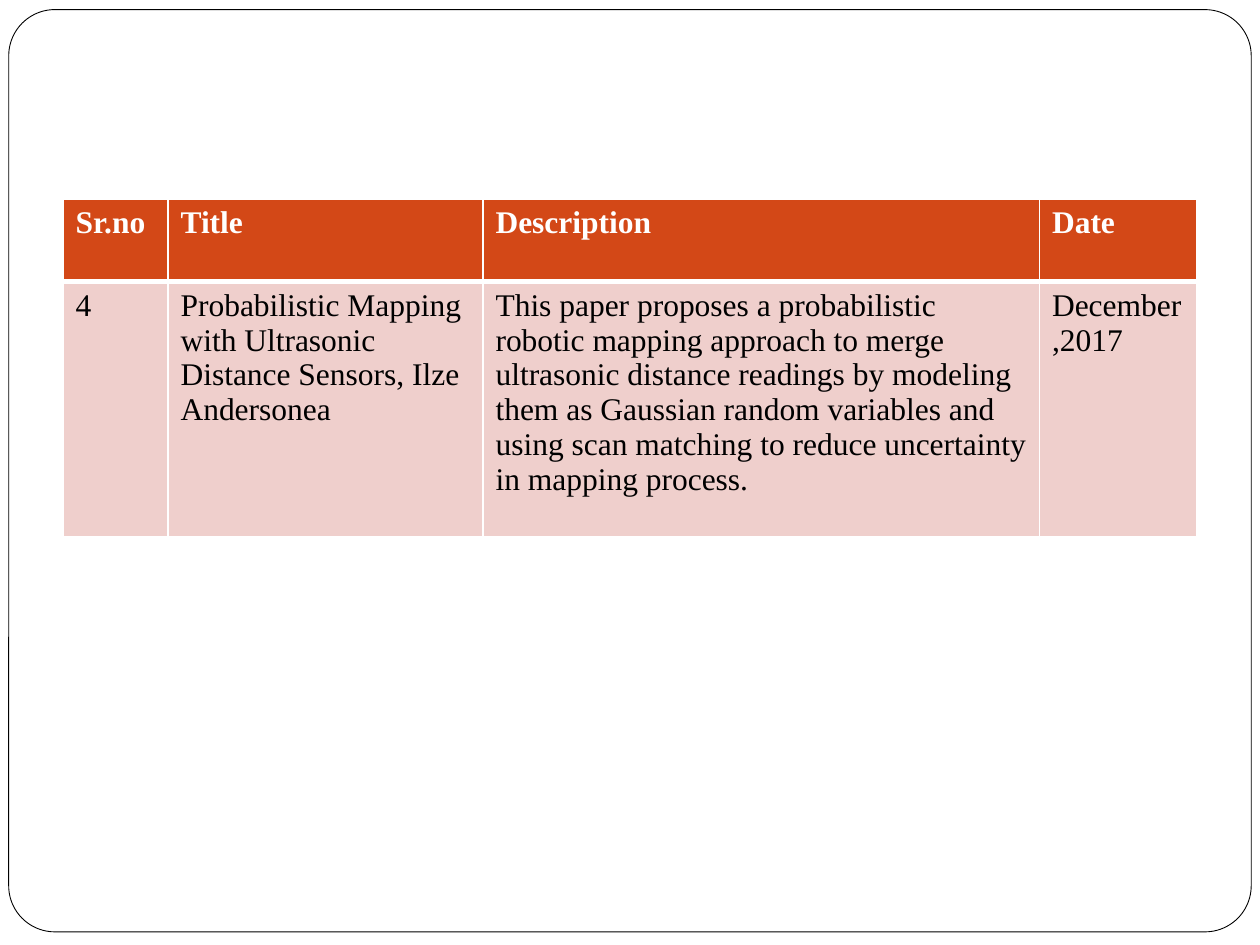
from dataclasses import dataclass

from lxml import etree
from pptx import Presentation
from pptx.dml.color import RGBColor
from pptx.enum import shapes
from pptx.oxml import ns
from pptx.util import Pt

WHITE = RGBColor(0xFF, 0xFF, 0xFF)
BLACK = RGBColor(0x00, 0x00, 0x00)
ORANGE = RGBColor(0xD3, 0x48, 0x17)
PINK = RGBColor(0xEF, 0xCF, 0xCC)
FONT = "Times New Roman"


@dataclass(frozen=True)
class Column:
    heading: str
    entry: str
    width: float


@dataclass(frozen=True)
class RowStyle:
    height: float
    fill: RGBColor
    ink: RGBColor
    bold: bool
    bottom_border: float


COLUMNS = [
    Column("Sr.no", "4", 60),
    Column(
        "Title",
        "Probabilistic Mapping with Ultrasonic Distance Sensors, Ilze Andersonea",
        180,
    ),
    Column(
        "Description",
        "This paper proposes a probabilistic robotic mapping approach to merge "
        "ultrasonic distance readings by modeling them as Gaussian random variables "
        "and using scan matching to reduce uncertainty in mapping process.",
        318,
    ),
    Column("Date", "December ,2017", 90),
]
HEADER = RowStyle(47, ORANGE, WHITE, True, 3)
BODY = RowStyle(146, PINK, BLACK, False, 1)


def add_border(cell, side: str, width: float) -> None:
    properties = cell._tc.get_or_add_tcPr()
    border = etree.SubElement(properties, ns.qn(f"a:ln{side}"), w=str(Pt(width)))
    solid = etree.SubElement(border, ns.qn("a:solidFill"))
    etree.SubElement(solid, ns.qn("a:srgbClr"), val=str(WHITE))


def fill_cell(cell, wording: str, style: RowStyle, top_border: float) -> None:
    borders = {"L": 1, "R": 1, "T": top_border, "B": style.bottom_border}
    for side, width in borders.items():
        add_border(cell, side, width)
    cell.fill.solid()
    cell.fill.fore_color.rgb = style.fill
    cell.text = wording
    font = cell.text_frame.paragraphs[0].font
    font.name = FONT
    font.size = Pt(18)
    font.bold = style.bold
    font.color.rgb = style.ink


def add_frame(slide) -> None:
    frame = slide.shapes.add_shape(
        shapes.MSO_SHAPE.ROUNDED_RECTANGLE, Pt(5), Pt(5.5), Pt(710), Pt(527)
    )
    frame.adjustments[0] = 0.05
    frame.shadow.inherit = False
    frame.fill.solid()
    frame.fill.fore_color.rgb = WHITE
    frame.line.color.rgb = BLACK
    frame.line.width = Pt(0.5)


def add_papers(slide) -> None:
    total_width = sum(column.width for column in COLUMNS)
    papers = slide.shapes.add_table(
        2, len(COLUMNS), Pt(36), Pt(114), Pt(total_width), Pt(HEADER.height + BODY.height)
    ).table
    papers.horz_banding = False
    for row, style in zip(papers.rows, (HEADER, BODY)):
        row.height = Pt(style.height)
    for index, column in enumerate(COLUMNS):
        papers.columns[index].width = Pt(column.width)
        fill_cell(papers.cell(0, index), column.heading, HEADER, 1)
        fill_cell(papers.cell(1, index), column.entry, BODY, HEADER.bottom_border)


def main() -> None:
    deck = Presentation()
    deck.slide_width, deck.slide_height = Pt(720), Pt(540)
    slide = deck.slides.add_slide(deck.slide_layouts[6])
    add_frame(slide)
    add_papers(slide)
    deck.save("out.pptx")


if __name__ == "__main__":
    main()
